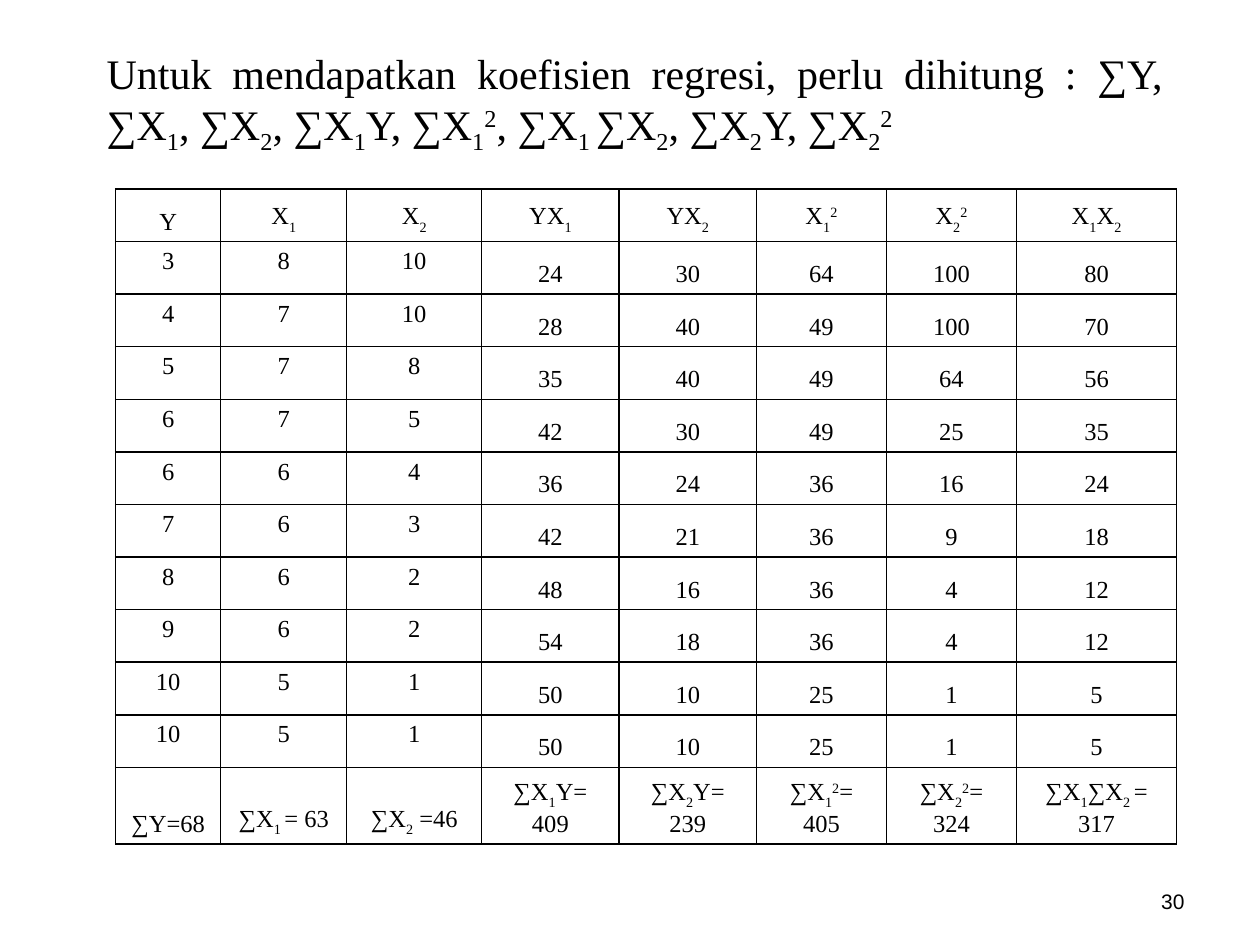
from lxml import etree
from pptx import Presentation
from pptx.dml.color import RGBColor
from pptx.enum.text import MSO_ANCHOR, PP_ALIGN
from pptx.oxml.ns import qn
from pptx.util import Cm, Pt

TOP, MIDDLE, BOTTOM = MSO_ANCHOR.TOP, MSO_ANCHOR.MIDDLE, MSO_ANCHOR.BOTTOM
CENTER, RIGHT, JUSTIFY = PP_ALIGN.CENTER, PP_ALIGN.RIGHT, PP_ALIGN.JUSTIFY
SERIF, SANS = "Times New Roman", "Arial"
BLACK = "000000"

# "_" starts a subscript, "^" a superscript, "|" returns to the baseline.
TITLE = ("Untuk mendapatkan koefisien regresi, perlu dihitung : ∑Y, "
         "∑X_1|, ∑X_2|, ∑X_1|Y, ∑X_1^2|, ∑X_1 |∑X_2|, ∑X_2|Y, ∑X_2^2")
HEADERS = ["Y", "X_1", "X_2", "YX_1", "YX_2", "X_1^2", "X_2^2", "X_1|X_2"]
OBSERVATIONS = [  # Y, X1, X2
    (3, 8, 10), (4, 7, 10), (5, 7, 8), (6, 7, 5), (6, 6, 4),
    (7, 6, 3), (8, 6, 2), (9, 6, 2), (10, 5, 1), (10, 5, 1),
]
TOTALS = ["∑Y=68", "∑X_1 |= 63", "∑X_2| =46", "∑X_1|Y= 409", "∑X_2|Y= 239",
          "∑X_1^2|= 405", "∑X_2^2|= 324", "∑X_1|∑X_2 |= 317"]
PAGE_NUMBER = "30"

COLUMN_WIDTHS = [2.12, 2.54, 2.72, 2.77, 2.77, 2.62, 2.62, 3.23]
ROW_HEIGHT, TOTAL_HEIGHT = 1.06, 1.45
TABLE_LEFT, TABLE_TOP = 2.33, 3.81
OBSERVED_COLUMNS = 3


def color(hex_string):
    return RGBColor.from_string(hex_string)


def write_formula(frame, markup, size, font, align, script):
    """Write marked-up text, raising or lowering scripts by the given percents."""
    para = frame.paragraphs[0]
    para.alignment = align
    for piece in markup.replace("_", "|_").replace("^", "|^").split("|"):
        level = script.get(piece[0])
        span = para.add_run()
        span.text = piece[1:] if level else piece
        span.font.size = Pt(size)
        span.font.name = font
        span.font.color.rgb = color(BLACK)
        if level:
            span.font._element.set("baseline", str(level * 1000))


def add_text(page, left, top, width, height, anchor, *formula):
    box = page.shapes.add_textbox(Cm(left), Cm(top), Cm(width), Cm(height))
    box.text_frame.word_wrap = True
    box.text_frame.vertical_anchor = anchor
    write_formula(box.text_frame, *formula)


def add_borders(cell):
    properties = cell._tc.get_or_add_tcPr()
    for position, side in enumerate(("lnL", "lnR", "lnT", "lnB")):
        line = etree.Element(qn("a:" + side), w=str(Pt(1)))
        fill = etree.SubElement(line, qn("a:solidFill"))
        etree.SubElement(fill, qn("a:srgbClr"), val=BLACK)
        properties.insert(position, line)


def add_regression_table(page):
    products = [(y, x1, x2, y * x1, y * x2, x1 ** 2, x2 ** 2, x1 * x2)
                for y, x1, x2 in OBSERVATIONS]
    rows = [HEADERS, *products, TOTALS]
    heights = [ROW_HEIGHT] * (len(rows) - 1) + [TOTAL_HEIGHT]
    table = page.shapes.add_table(
        len(rows), len(HEADERS), Cm(TABLE_LEFT), Cm(TABLE_TOP),
        Cm(sum(COLUMN_WIDTHS)), Cm(sum(heights))).table
    table.first_row = table.horz_banding = False
    for column, width in zip(table.columns, COLUMN_WIDTHS):
        column.width = Cm(width)
    for row_index, (values, height) in enumerate(zip(rows, heights)):
        table.rows[row_index].height = Cm(height)
        is_data = 0 < row_index < len(rows) - 1
        for column_index, value in enumerate(values):
            cell = table.cell(row_index, column_index)
            observed = is_data and column_index < OBSERVED_COLUMNS
            cell.vertical_anchor = TOP if observed else BOTTOM
            cell.fill.background()
            add_borders(cell)
            write_formula(cell.text_frame, str(value), 14, SERIF, CENTER,
                          {"_": -30, "^": 30})


def main():
    deck = Presentation()
    deck.slide_width, deck.slide_height = Cm(25.4), Cm(19.05)
    page = deck.slides.add_slide(deck.slide_layouts[6])
    add_text(page, 18.21, 17.65, 5.92, 1.02, MIDDLE,
             PAGE_NUMBER, 12, SANS, RIGHT, {})
    add_text(page, 1.9, 0.84, 21.8, 2.29, TOP,
             TITLE, 24, SERIF, JUSTIFY, {"_": -25, "^": 30})
    add_regression_table(page)
    deck.save("out.pptx")


if __name__ == "__main__":
    main()
